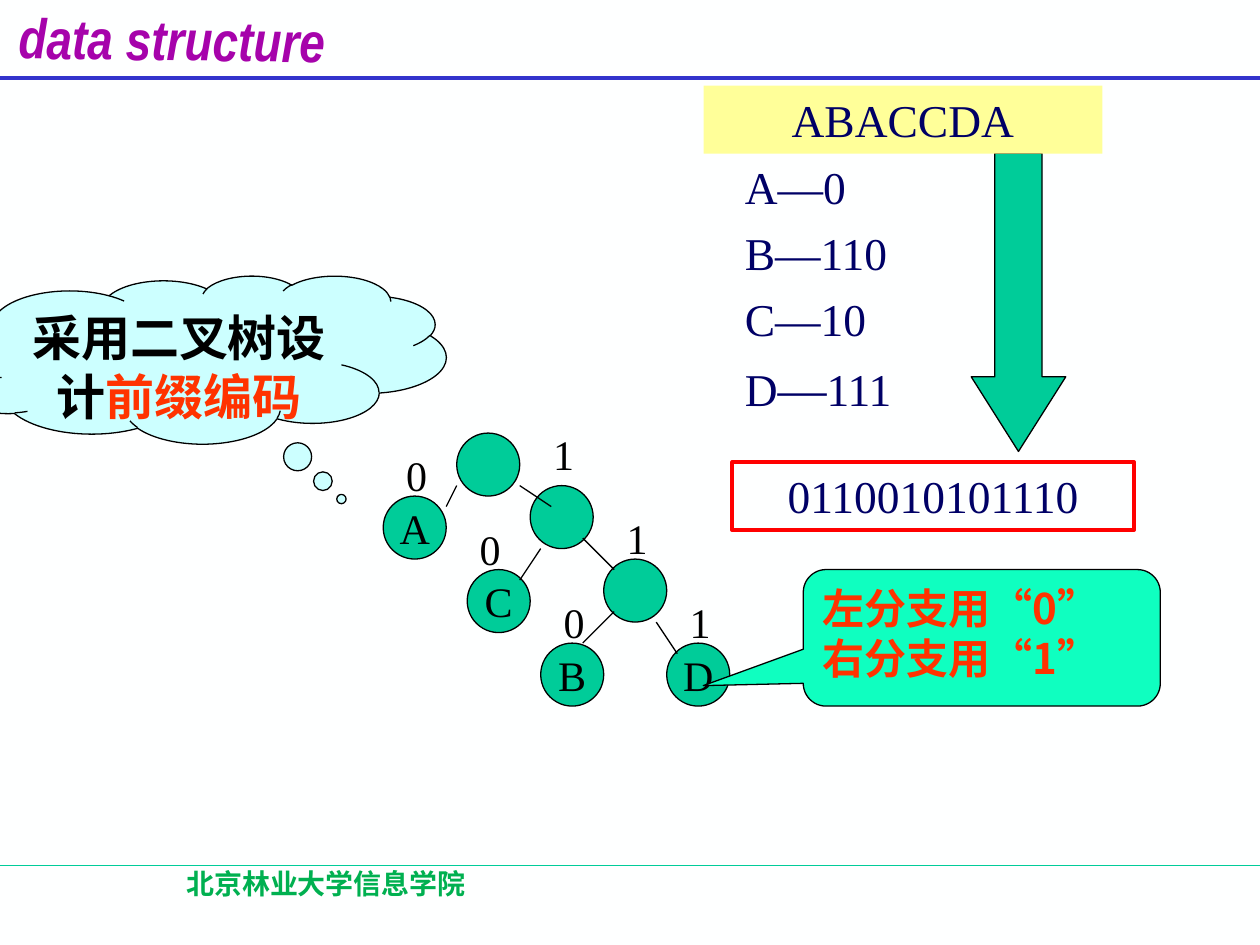
from lxml.etree import SubElement
from pptx import Presentation
from pptx.dml.color import RGBColor
from pptx.enum.shapes import MSO_CONNECTOR as Link, MSO_SHAPE as Shape
from pptx.enum.text import MSO_ANCHOR as Anchor, PP_ALIGN as Align
from pptx.oxml.ns import qn
from pptx.util import Inches, Pt

BLACK = RGBColor(0x00, 0x00, 0x00)
NAVY = RGBColor(0x00, 0x00, 0x66)
BLUE = RGBColor(0x33, 0x33, 0xCC)
PURPLE = RGBColor(0xA6, 0x03, 0xAB)
GREEN = RGBColor(0x00, 0xCC, 0x99)
LEAF = RGBColor(0x00, 0xB0, 0x50)
MINT = RGBColor(0x0F, 0xFF, 0xC0)
SKY = RGBColor(0xCC, 0xFF, 0xFF)
YELLOW = RGBColor(0xFF, 0xFF, 0x99)
RED = RGBColor(0xFF, 0x00, 0x00)
ORANGE = RGBColor(0xFF, 0x33, 0x00)
WHITE = RGBColor(0xFE, 0xFF, 0xFF)
SERIF, NARROW, CJK = "Times New Roman", "Arial Narrow", "Noto Sans CJK SC"

deck = Presentation()
deck.slide_width, deck.slide_height = Inches(10), Inches(7.5)
slide = deck.slides.add_slide(deck.slide_layouts[6])
slide.background.fill.solid()
slide.background.fill.fore_color.rgb = WHITE
CELL = deck.slide_width / 120


def add_block(kind, cells, fill=None, line=None, width=0.75):
    left, top, wide, high = (round(n * CELL) for n in cells)
    if kind is None:
        block = slide.shapes.add_textbox(left, top, wide, high)
    else:
        block = slide.shapes.add_shape(kind, left, top, wide, high)
        block.shadow.inherit = False
        if fill is None:
            block.fill.background()
        else:
            block.fill.solid()
            block.fill.fore_color.rgb = fill
        if line is None:
            block.line.fill.background()
        else:
            block.line.color.rgb = line
            block.line.width = Pt(width)
    block.text_frame.word_wrap = True
    block.text_frame.vertical_anchor = Anchor.TOP
    return block


def write(block, paragraphs, size, color, face=SERIF, bold=False, align=Align.LEFT, gap=0):
    frame = block.text_frame
    for row, pieces in enumerate(paragraphs):
        paragraph = frame.add_paragraph() if row else frame.paragraphs[0]
        paragraph.alignment = align
        paragraph.space_before = Pt(gap if row else 0)
        for text, changes in pieces:
            run = paragraph.add_run()
            run.text = text
            run.font.name = face
            run.font.size = Pt(changes.get("size", size))
            run.font.bold = bold
            run.font.color.rgb = changes.get("color", color)
            east_asian = SubElement(run.font._element, qn("a:ea"))
            east_asian.set("typeface", CJK)


rules = [(0, 82.44, 120, 82.44, GREEN, 0.75), (0, 7.45, 120, 7.45, BLUE, 2.25)]
branches = [
    (43.5, 46.25, 42.5, 48.25), (49.5, 46.25, 52.5, 48.25), (51.5, 52.25, 49.5, 55.25),
    (58.5, 58.25, 55.5, 61.25), (62.5, 59.25, 64.5, 62.25), (55.5, 51.25, 58.5, 54.25),
]
nodes = [
    (43.5, 41.25, ""), (50.5, 46.25, ""), (57.5, 53.25, ""), (36.5, 47.25, "A"),
    (44.5, 54.25, "C"), (51.5, 61.25, "B"), (63.5, 61.25, "D"),
]
for x, y, letter in nodes:
    node = add_block(Shape.OVAL, (x, y, 6, 6), GREEN, BLACK)
    if letter:
        node.text_frame.word_wrap = False
        node.text_frame.vertical_anchor = Anchor.MIDDLE
        write(node, [[(letter, {})]], 24, BLACK, align=Align.CENTER)

for *ends, color, width in rules + [(*branch, BLACK, 0.75) for branch in branches]:
    edge = slide.shapes.add_connector(Link.STRAIGHT, *(round(n * CELL) for n in ends))
    edge.line.color.rgb = color
    edge.line.width = Pt(width)
    SubElement(edge._element.spPr, qn("a:effectLst"))

bits = [
    (37.5, 42.25, "0"), (44.5, 49.25, "0"), (52.5, 56.25, "0"),
    (51.5, 40.25, "1"), (58.5, 48.25, "1"), (64.5, 56.25, "1"),
]
for x, y, bit in bits:
    write(add_block(None, (x, y, 7, 6)), [[(bit, {})]], 24, BLACK)

title = add_block(None, (0.6, -0.1, 36, 6.5))
title.rotation = 0.8
write(title, [[("data structure", {})]], 32, PURPLE, NARROW, bold=True)
title.text_frame.paragraphs[0].runs[0].font.italic = True

school = add_block(None, (6.2, 81.9, 49.7, 6))
write(school, [[("北京林业大学信息学院", {})]], 16, LEAF, CJK, bold=True, align=Align.CENTER)

idea = add_block(Shape.CLOUD_CALLOUT, (-5, 26.25, 47.5, 16), SKY, BLACK)
idea.adjustments[0], idea.adjustments[1] = 0.29, 0.83
write(idea, [[("采用二叉树设计", {}), ("前缀编码", {"color": ORANGE})]],
      28, BLACK, bold=True, align=Align.CENTER)

branch_rule = add_block(Shape.ROUNDED_RECTANGULAR_CALLOUT, (76.5, 54.25, 34, 13), MINT, BLACK)
branch_rule.adjustments[0], branch_rule.adjustments[1] = -0.78, 0.35
write(branch_rule, [[("左分支用“0”", {})], [("右分支用“1”", {})]], 24, ORANGE, CJK, bold=True)

codes = add_block(None, (69.75, 14.6, 18.25, 46.5))
write(codes, [[("A—0", {})], [("B—110", {})], [("C—10", {})],
              [("D", {}), ("—", {"size": 28}), ("111", {})]], 26, NAVY, gap=6.5)

encoding = add_block(Shape.DOWN_ARROW, (92.5, 14.6, 9, 28.4), GREEN, BLACK)
encoding.adjustments[0], encoding.adjustments[1] = 0.5, 0.79

encoded = add_block(Shape.RECTANGLE, (69.75, 44, 38.25, 6.5), None, RED, 2.25)
write(encoded, [[("0110010101110", {})]], 26, NAVY, align=Align.CENTER)

message = add_block(Shape.RECTANGLE, (67, 8.15, 38, 6.5), YELLOW)
write(message, [[("ABACCDA", {})]], 26, NAVY, align=Align.CENTER)

deck.save("out.pptx")
